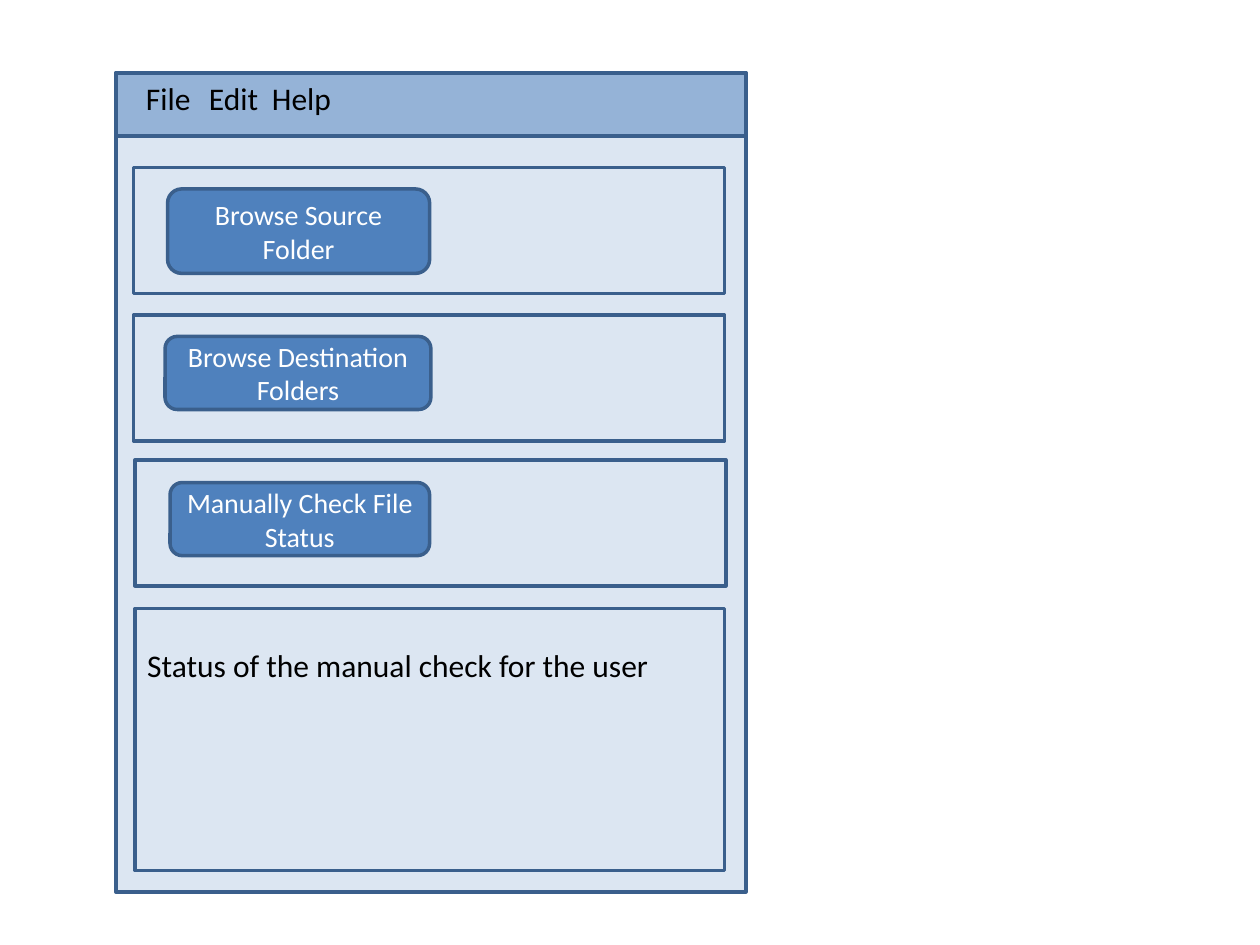
from pptx import Presentation
from pptx.dml.color import RGBColor
from pptx.enum.shapes import MSO_SHAPE as SHAPE
from pptx.enum.text import MSO_ANCHOR as ANCHOR, MSO_AUTO_SIZE as AUTO, PP_ALIGN as ALIGN
from pptx.util import Inches, Pt

COLORS = {
    "window": "DCE6F2",
    "menu": "95B3D7",
    "button": "4F81BD",
    "border": "3A5F8C",
    "text": "000000",
    "button_text": "FFFFFF",
}
FONT = "Calibri"

# Window frame and the left edge and width shared by its panels
WIN_X, WIN_Y, WIN_W, WIN_H = 0.92, 0.58, 5, 6.5
MENU_H = 0.5
PANEL_X, PANEL_W, PANEL_H = 1.06, 4.69, 1

# Each row: panel left and top, then button label, left, top, width and height
ROWS = [
    (PANEL_X, 1.33, "Browse Source Folder", (1.33, 1.5, 2.08, 0.67)),
    (PANEL_X, 2.5, "Browse Destination Folders", (1.31, 2.67, 2.11, 0.58)),
    (PANEL_X + 0.01, 3.65, "Manually Check File Status", (1.35, 3.83, 2.06, 0.58)),
]
STATUS_BOX = (1.07, 4.83, 4.68, 2.08)


def rgb(name):
    return RGBColor.from_string(COLORS[name])


def add_run(p, text, size, color):
    r = p.add_run()
    r.text = text
    r.font.name = FONT
    r.font.size = Pt(size)
    r.font.color.rgb = rgb(color)


def add_box(s, box, fill=None, kind=SHAPE.RECTANGLE):
    sp = s.shapes.add_shape(kind, *map(Inches, box))
    sp.shadow.inherit = False
    if fill:
        sp.fill.solid()
        sp.fill.fore_color.rgb = rgb(fill)
    else:
        sp.fill.background()
    sp.line.color.rgb = rgb("border")
    sp.line.width = Pt(2)
    return sp


def add_button(s, box, label):
    tf = add_box(s, box, "button", SHAPE.ROUNDED_RECTANGLE).text_frame
    tf.word_wrap = True
    tf.vertical_anchor = ANCHOR.MIDDLE
    p = tf.paragraphs[0]
    p.alignment = ALIGN.CENTER
    add_run(p, label, 16, "button_text")


def add_label(s, box, text):
    tf = s.shapes.add_textbox(*map(Inches, box)).text_frame
    tf.word_wrap = True
    tf.auto_size = AUTO.SHAPE_TO_FIT_TEXT
    add_run(tf.paragraphs[0], text, 18, "text")


def main():
    prs = Presentation()
    prs.slide_width, prs.slide_height = Inches(10), Inches(7.5)
    s = prs.slides.add_slide(prs.slide_layouts[6])

    # Window and menu bar
    add_box(s, (WIN_X, WIN_Y, WIN_W, WIN_H), "window")
    add_box(s, (WIN_X, WIN_Y, WIN_W, MENU_H), "menu")
    add_label(s, (PANEL_X, WIN_Y, 4.81, 0.4), "File \tEdit\tHelp")

    # Buttons, then the outlines of their panels
    for _, _, label, box in ROWS:
        add_button(s, box, label)
    for x, y, _, _ in ROWS:
        add_box(s, (x, y, PANEL_W, PANEL_H))

    # Status panel
    add_box(s, STATUS_BOX)
    x, y, w, _ = STATUS_BOX
    add_label(s, (x, y + 0.25, w, 0.4), "Status of the manual check for the user")

    prs.save("out.pptx")


if __name__ == "__main__":
    main()
